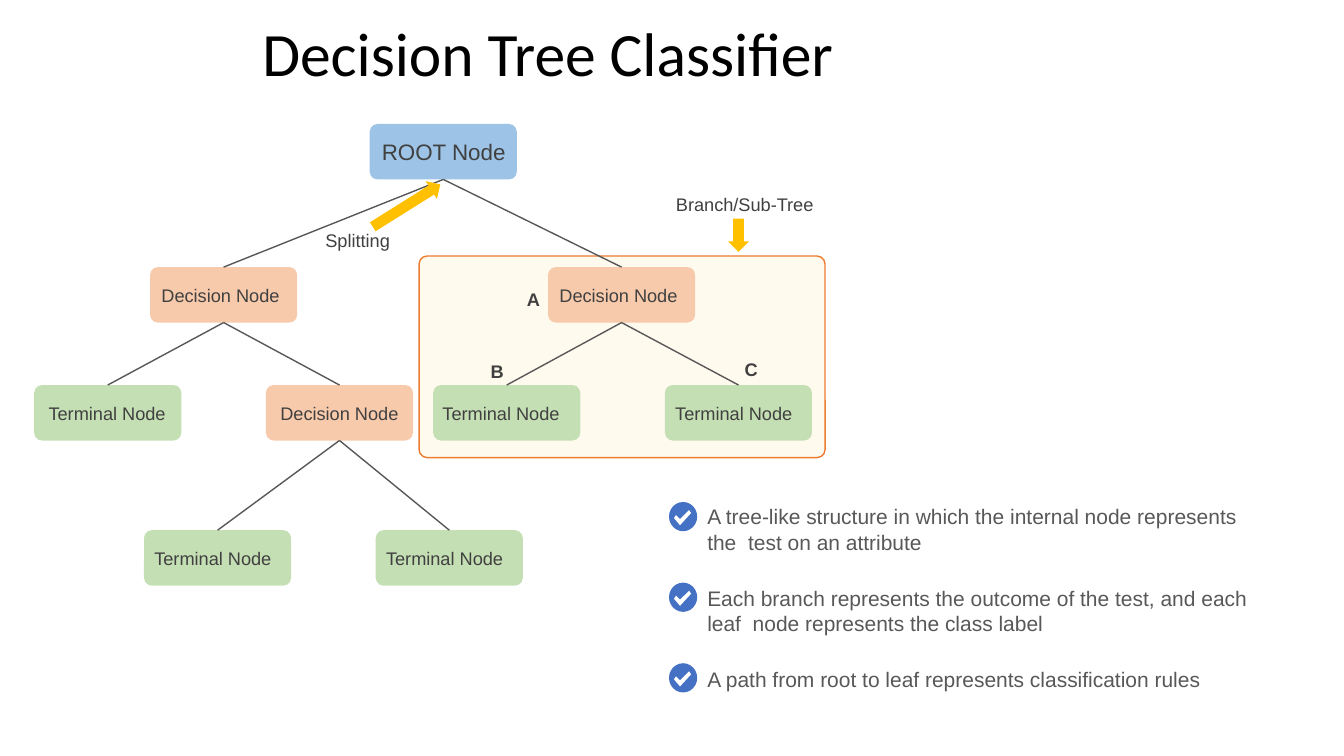
from math import atan2, degrees, hypot

from lxml import etree
from pptx import Presentation
from pptx.dml.color import RGBColor
from pptx.enum.shapes import MSO_CONNECTOR, MSO_SHAPE
from pptx.enum.text import MSO_ANCHOR, MSO_AUTO_SIZE, PP_ALIGN
from pptx.oxml.ns import qn
from pptx.util import Inches, Pt

BLACK = RGBColor(0x00, 0x00, 0x00)
WHITE = RGBColor(0xFF, 0xFF, 0xFF)
DARK = RGBColor(0x40, 0x40, 0x40)
GRAY = RGBColor(0x58, 0x58, 0x58)
BLUE = RGBColor(0x44, 0x71, 0xC4)
SKY = RGBColor(0x9D, 0xC3, 0xE6)
PEACH = RGBColor(0xF8, 0xCA, 0xAC)
GREEN = RGBColor(0xC5, 0xDF, 0xB4)
CREAM = RGBColor(0xFF, 0xF1, 0xCC)
ORANGE = RGBColor(0xEC, 0x7C, 0x30)
GOLD = RGBColor(0xFF, 0xC0, 0x00)

ROUND = MSO_SHAPE.ROUNDED_RECTANGLE
OVAL = MSO_SHAPE.OVAL
ARROW = MSO_SHAPE.RIGHT_ARROW
LINE = MSO_CONNECTOR.STRAIGHT
LEFT, CENTER = PP_ALIGN.LEFT, PP_ALIGN.CENTER
MIDDLE, TOP = MSO_ANCHOR.MIDDLE, MSO_ANCHOR.TOP
FIXED = MSO_AUTO_SIZE.NONE

TITLE = "Decision Tree Classifier"
POINTS = [
    "A tree-like structure in which the internal node represents the  test on an attribute",
    "Each branch represents the outcome of the test, and each leaf  node represents the class label",
    "A path from root to leaf represents classification rules",
]
KINDS = {
    "root": ("ROOT Node", SKY, 16),
    "decision": ("Decision Node", PEACH, 13),
    "terminal": ("Terminal Node", GREEN, 13),
}
# kind, left, top, text inset, parent index
NODES = [
    ("root", 3.67, 1.23, 0.10, None),
    ("decision", 1.49, 2.65, 0.09, 0),
    ("decision", 5.44, 2.65, 0.09, 0),
    ("terminal", 0.34, 3.82, 0.12, 1),
    ("decision", 2.64, 3.82, 0.12, 1),
    ("terminal", 4.30, 3.82, 0.07, 2),
    ("terminal", 6.60, 3.82, 0.08, 2),
    ("terminal", 1.43, 5.26, 0.08, 4),
    ("terminal", 3.73, 5.26, 0.08, 4),
]
LABELS = [
    ("A", 5.23, 2.86, 0.2, True),
    ("B", 4.87, 3.57, 0.2, True),
    ("C", 7.39, 3.55, 0.2, True),
    ("Branch/Sub-Tree", 6.71, 1.92, 1.5, False),
    ("Splitting", 3.23, 2.28, 0.8, False),
]
ARROWS = [((7.33, 2.17), (7.33, 2.5)), ((3.7, 2.25), (4.37, 1.83))]
CHECK = [(0.22, 0.11), (0.11, 0.23), (0.05, 0.16), (0.07, 0.13), (0.11, 0.17), (0.2, 0.08)]
NODE_W, NODE_H = 1.46, 0.55
TICK_X, TICK_Y, TICK_STEP = 6.64, 4.98, 0.8

prs = Presentation()
prs.slide_width, prs.slide_height = Inches(13.34), Inches(7.5)
slide = prs.slides.add_slide(prs.slide_layouts[1])
shapes = slide.shapes


def place(shape, *box):
    shape.left, shape.top, shape.width, shape.height = map(Inches, box)


def frame(shape, anchor, inset=0):
    tf = shape.text_frame
    tf.auto_size = FIXED
    tf.word_wrap = True
    tf.vertical_anchor = anchor
    tf.margin_left = Inches(inset)
    tf.margin_right = tf.margin_top = tf.margin_bottom = 0
    return tf


def style(para, size, color, font="Arial", bold=False, align=LEFT):
    para.alignment = align
    for run in para.runs:
        run.font.name, run.font.size, run.font.bold = font, Pt(size), bold
        run.font.color.rgb = color


def paint(shape, fill, edge=None):
    shape.shadow.inherit = False
    shape.fill.solid()
    shape.fill.fore_color.rgb = fill
    if edge is None:
        shape.line.fill.background()
    else:
        shape.line.color.rgb = edge
        shape.line.width = Pt(1)
    return shape


def draw(kind, box, fill, edge=None):
    return paint(shapes.add_shape(kind, *map(Inches, box)), fill, edge)


title = shapes.title
place(title, 2.45, -0.23, 5.98, 1.48)
tf = frame(title, MIDDLE)
tf.text = TITLE
style(tf.paragraphs[0], 44, BLACK, "Calibri", align=CENTER)

body = slide.placeholders[1]
place(body, 7.02, 5, 5.5, 1.9)
tf = frame(body, TOP)
tf.text = "\n".join(POINTS)
for i, para in enumerate(tf.paragraphs):
    style(para, 15, GRAY)
    para.line_spacing = Pt(18)
    para.space_before = Pt(22 if i else 0)
    props = para._p.get_or_add_pPr()
    props.set("marL", "0")
    props.set("indent", "0")
    etree.SubElement(props, qn("a:buNone"))
    y = TICK_Y + i * TICK_STEP
    draw(OVAL, (TICK_X, y, 0.28, 0.29), BLUE)
    marks = [(Inches(TICK_X + dx), Inches(y + dy)) for dx, dy in CHECK]
    pen = shapes.build_freeform(*marks[0])
    pen.add_line_segments(marks[1:])
    paint(pen.convert_to_shape(), WHITE)

panel = draw(ROUND, (4.16, 2.54, 4.03, 2), CREAM, ORANGE)
panel.adjustments[0] = 0.04
tint = panel.fill._xPr.find(qn("a:solidFill"))[0]
etree.SubElement(tint, qn("a:alpha")).set("val", "32000")

boxes = []
for kind, x, y, inset, parent in NODES:
    text, fill, size = KINDS[kind]
    box = draw(ROUND, (x, y, NODE_W, NODE_H), fill)
    box.adjustments[0] = 0.14
    tf = frame(box, MIDDLE, inset)
    tf.text = text
    style(tf.paragraphs[0], size, DARK)
    boxes.append(box)
    if parent is not None:
        edge = shapes.add_connector(LINE, 0, 0, 0, 0)
        edge.begin_connect(boxes[parent], 2)
        edge.end_connect(box, 0)
        edge.line.color.rgb = GRAY
        edge.line.width = Pt(1)
        etree.SubElement(edge._element.spPr, qn("a:effectLst"))

for text, x, y, width, bold in LABELS:
    tf = frame(shapes.add_textbox(*map(Inches, (x, y, width, 0.23))), TOP)
    tf.text = text
    style(tf.paragraphs[0], 13, DARK, bold=bold)

for (x1, y1), (x2, y2) in ARROWS:
    size = hypot(x2 - x1, y2 - y1)
    box = ((x1 + x2 - size) / 2, (y1 + y2 - 0.21) / 2, size, 0.21)
    draw(ARROW, box, GOLD).rotation = degrees(atan2(y2 - y1, x2 - x1))

prs.save("out.pptx")
